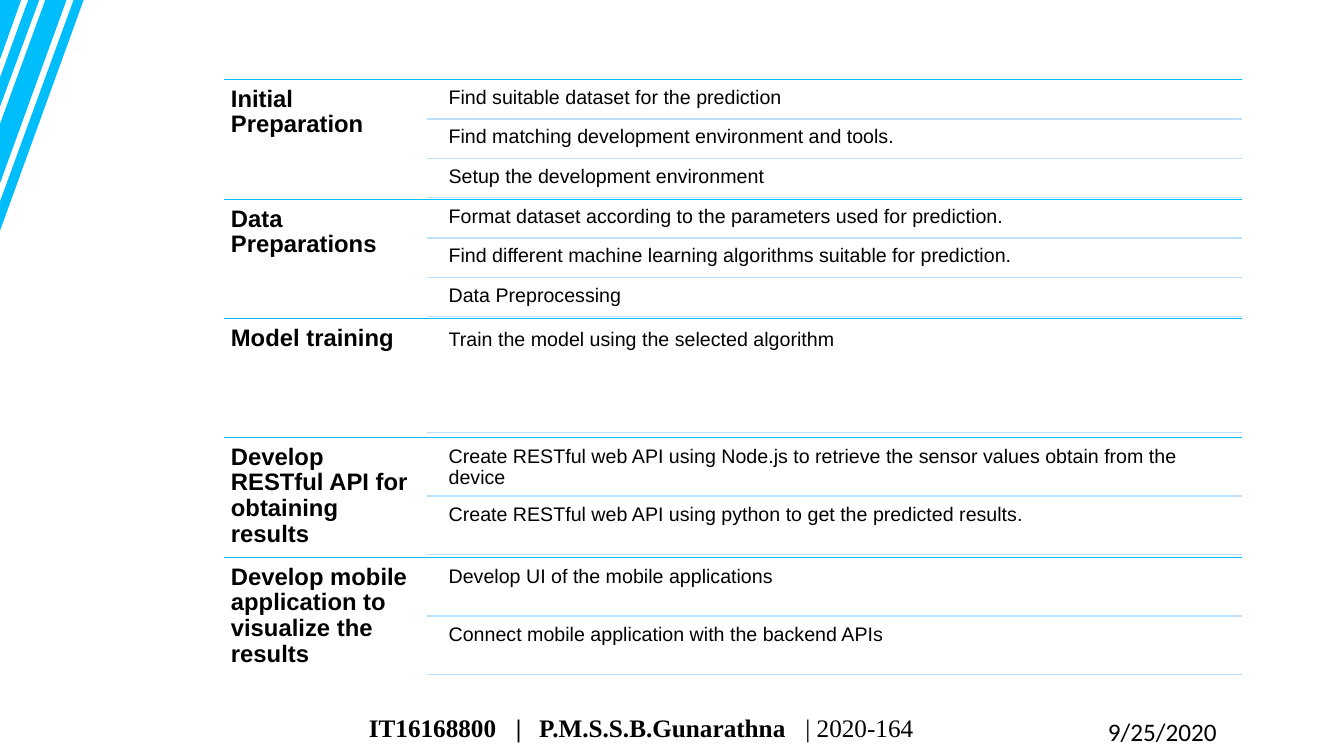
from lxml.etree import SubElement
from pptx import Presentation
from pptx.dml.color import RGBColor
from pptx.enum.shapes import MSO_CONNECTOR
from pptx.enum.text import MSO_AUTO_SIZE, PP_ALIGN
from pptx.oxml.ns import qn
from pptx.util import Emu, Pt

PX = 9144  # 100 px to the inch
CYAN = RGBColor(0x00, 0xBD, 0xFB)
PALE_BLUE = RGBColor(0xBD, 0xE1, 0xFD)
BLACK = RGBColor(0x00, 0x00, 0x00)

LEFT, RIGHT, TOP = 222, 1232, 79
RULE_LEFT, TASK_LEFT = 424, 439
PHASE_HEIGHT = 118.5
GAP_RATIO = 0.05  # gap between tasks, as a share of a task's height

PHASES = [
    ("Initial Preparation", [
        "Find suitable dataset for the prediction",
        "Find matching development environment and tools.",
        "Setup the development environment"]),
    ("Data Preparations", [
        "Format dataset according to the parameters used for prediction.",
        "Find different machine learning algorithms suitable for prediction.",
        "Data Preprocessing"]),
    ("Model training", [
        "Train the model using the selected algorithm"]),
    ("Develop RESTful API for obtaining results", [
        "Create RESTful web API using Node.js to retrieve the sensor values "
        "obtain from the device",
        "Create RESTful web API using python to get the predicted results."]),
    ("Develop mobile application to visualize the results", [
        "Develop UI of the mobile applications",
        "Connect mobile application with the backend APIs"]),
]

STRIPES = [
    [(73, 0), (83, 0), (0, 229), (0, 200)],
    [(39, 0), (0, 106), (0, 77), (28, 0)],
    [(66, 0), (0, 182), (0, 123), (45, 0)],
    [(0, 0), (21, 0), (0, 59)],
]


def px(n):
    return Emu(round(n) * PX)


def add_stripes(slide):
    first, *others = STRIPES
    builder = slide.shapes.build_freeform(*first[0], scale=PX)
    builder.add_line_segments(first[1:])
    for stripe in others:
        builder.move_to(*stripe[0])
        builder.add_line_segments(stripe[1:])
    sp = builder.convert_to_shape()
    sp.shadow.inherit = False
    sp.fill.solid()
    sp.fill.fore_color.rgb = CYAN
    sp.line.fill.background()


def add_rule(slide, left, y, color):
    line = slide.shapes.add_connector(
        MSO_CONNECTOR.STRAIGHT, px(left), px(y), px(RIGHT), px(y))
    line.line.color.rgb = color
    line.line.width = Pt(1)
    SubElement(line._element.spPr, qn("a:effectLst"))


def add_text(slide, box, runs, size, font="Arial", inset=None):
    """Add a one-paragraph text box from (text, bold) runs; return its paragraph."""
    tf = slide.shapes.add_textbox(*map(px, box)).text_frame
    tf.word_wrap = True
    if inset is None:
        tf.auto_size = MSO_AUTO_SIZE.SHAPE_TO_FIT_TEXT
    else:
        tf.margin_left = tf.margin_right = px(inset)
        tf.margin_top = tf.margin_bottom = px(inset)
    p = tf.paragraphs[0]
    for text, bold in runs:
        r = p.add_run()
        r.text = text
        r.font.bold = bold
    p.font.name = font
    p.font.size = Pt(size)
    p.font.color.rgb = BLACK
    return p


def add_phase(slide, top, title, tasks):
    add_rule(slide, LEFT, top, CYAN)
    p = add_text(slide, (LEFT, top, RULE_LEFT - LEFT, PHASE_HEIGHT),
                 [(title, True)], 17, inset=7)
    p.line_spacing = 0.9
    count = len(tasks)
    height = PHASE_HEIGHT / (count + (count + 1) * GAP_RATIO)
    gap = height * GAP_RATIO
    for i, task in enumerate(tasks):
        y = top + gap + i * (height + gap)
        p = add_text(slide, (TASK_LEFT, y, RIGHT - TASK_LEFT, height),
                     [(task, False)], 14, inset=6)
        p.line_spacing = 0.9
        add_rule(slide, RULE_LEFT, y + height, PALE_BLUE)


def add_footer(slide):
    p = add_text(slide, (356, 719, 667, 25),
                 [("IT16168800\t|\tP.M.S.S.B.Gunarathna\t", True),
                  ("| 2020-164", False)], 18, "Times New Roman")
    p.alignment = PP_ALIGN.JUSTIFY
    p.line_spacing = Pt(9)
    p.space_after = Pt(2.5)
    tabs = p._p.pPr.makeelement(qn("a:tabLst"))
    for stop in (146, 169, 433):
        SubElement(tabs, qn("a:tab"), pos=str(px(stop)), algn="l")
    p._p.pPr.find(qn("a:defRPr")).addprevious(tabs)
    add_text(slide, (1089, 706, 136, 40), [("9/25/2020", False)], 18, "Calibri")


def main():
    prs = Presentation()
    prs.slide_width, prs.slide_height = px(1333), px(750)
    slide = prs.slides.add_slide(prs.slide_layouts[6])
    add_stripes(slide)
    for i, (title, tasks) in enumerate(PHASES):
        add_phase(slide, TOP + i * PHASE_HEIGHT, title, tasks)
    add_footer(slide)
    prs.save("out.pptx")


if __name__ == "__main__":
    main()
